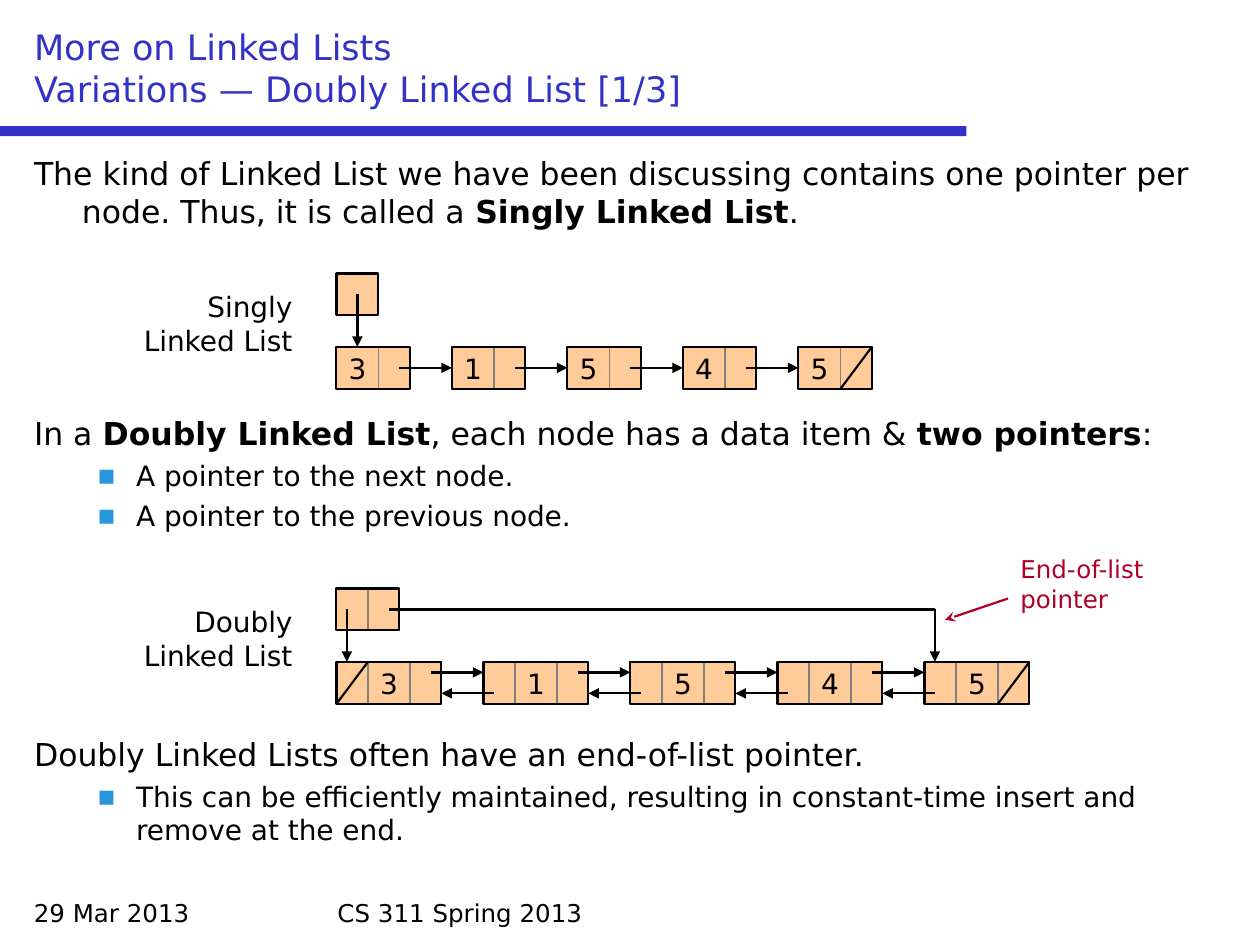
from dataclasses import dataclass
from itertools import accumulate

from lxml.etree import SubElement
from pptx import Presentation
from pptx.dml.color import RGBColor
from pptx.enum.shapes import MSO_CONNECTOR, MSO_SHAPE
from pptx.enum.text import MSO_ANCHOR, MSO_AUTO_SIZE, PP_ALIGN
from pptx.oxml.ns import qn
from pptx.util import Inches, Pt


@dataclass(frozen=True)
class Theme:
    face: str = "DejaVu Sans"
    ink: str = "000000"
    blue: str = "3232C8"
    mark: str = "2896DC"
    red: str = "AF0028"
    fill: str = "FFCC99"
    edge: str = "808080"
    title: int = 20
    body: int = 18
    item: int = 16
    note: int = 14
    thin: float = 0.75
    wide: float = 1.25


theme = Theme()
UNIT = 1 / 12


def style(para, size, color=theme.ink):
    para.font.name = theme.face
    para.font.size = Pt(size)
    para.font.color.rgb = RGBColor.from_string(color)


def place(shape, box):
    shape.left, shape.top, shape.width, shape.height = map(Inches, box)


def label(slide, box, text, size, color=theme.ink, align=PP_ALIGN.LEFT):
    frame = slide.shapes.add_textbox(*map(Inches, box)).text_frame
    frame.word_wrap = True
    para = frame.paragraphs[0]
    para.text = text
    para.alignment = align
    style(para, size, color)


def rect(slide, box, fill=None, color=None, width=theme.wide):
    shape = slide.shapes.add_shape(MSO_SHAPE.RECTANGLE, *map(Inches, box))
    shape.shadow.inherit = False
    if fill:
        shape.fill.solid()
        shape.fill.fore_color.rgb = RGBColor.from_string(fill)
    else:
        shape.fill.background()
    if color:
        shape.line.color.rgb = RGBColor.from_string(color)
        shape.line.width = Pt(width)
    else:
        shape.line.fill.background()
    return shape


def link(slide, start, end, head=None, color=theme.ink):
    line = slide.shapes.add_connector(
        MSO_CONNECTOR.STRAIGHT, *map(Inches, (*start, *end)))
    line.line.color.rgb = RGBColor.from_string(color)
    line.line.width = Pt(theme.wide)
    if head:
        SubElement(line.line._get_or_add_ln(), qn("a:tailEnd"), type=head)
    SubElement(line._element.spPr, qn("a:effectLst"))


def node(slide, x, y, cells, text="", slot=0):
    high = 4 * UNIT
    split = len(cells) > 1
    for i, (wide, end) in enumerate(zip(cells, accumulate(cells))):
        box = (x + (end - wide) * UNIT, y, wide * UNIT, high)
        cell = rect(slide, box, theme.fill, theme.edge if split else theme.ink,
                    theme.thin if split else theme.wide)
        if text and i == slot:
            frame = cell.text_frame
            frame.word_wrap = False
            frame.vertical_anchor = MSO_ANCHOR.MIDDLE
            para = frame.paragraphs[0]
            para.text = text
            para.alignment = PP_ALIGN.CENTER
            style(para, theme.item)
    if split:
        rect(slide, (x, y, sum(cells) * UNIT, high), None, theme.ink)


def chain(slide, x, y, name, head, cells, slot, lines, cuts):
    label(slide, (x - 1.67, y + 0.08, 1.42, 0.64), name, theme.item,
          align=PP_ALIGN.RIGHT)
    step = sum(cells) + 4
    data = "31545"
    node(slide, x, y, head)
    for i, text in enumerate(data):
        node(slide, x + i * step * UNIT, y + 7 * UNIT, cells, text, slot)

    def draw(a, b, c, d, tip=None):
        link(slide, (x + a * UNIT, y + b * UNIT),
             (x + c * UNIT, y + d * UNIT), tip)

    mid = head[0] / 2 if len(head) == 1 else 1
    draw(mid, 2, mid, 7, "triangle")
    for i in range(len(data) - 1):
        for start, end, row in lines:
            draw(start + i * step, row, end + i * step, row, "triangle")
    for i in cuts:
        draw(i, 11, i + 3, 7)
    if len(head) > 1:
        last = (len(data) - 1) * step + 1
        draw(5, 2, last, 2)
        draw(last, 2, last, 7, "triangle")


def heading(slide, box, text):
    title = slide.shapes.title
    place(title, box)
    frame = title.text_frame
    frame.auto_size = MSO_AUTO_SIZE.NONE
    frame.vertical_anchor = MSO_ANCHOR.BOTTOM
    frame.text = text
    para = frame.paragraphs[0]
    para.alignment = PP_ALIGN.LEFT
    style(para, theme.title, theme.blue)


def bullet(para, level):
    props = para._p.get_or_add_pPr()
    left, hang = ((0.38, 0.38), (0.81, 0.31))[level]
    props.set("marL", str(Inches(left)))
    props.set("indent", str(-Inches(hang)))
    if level:
        color = SubElement(props, qn("a:buClr"))
        SubElement(color, qn("a:srgbClr"), val=theme.mark)
        SubElement(props, qn("a:buFont"), typeface=theme.face)
        SubElement(props, qn("a:buChar"), char="▪")
    else:
        SubElement(props, qn("a:buNone"))


def content(slide, box, rows):
    body = slide.placeholders[1]
    place(body, box)
    frame = body.text_frame
    frame.auto_size = MSO_AUTO_SIZE.NONE
    for i, (level, gap, parts) in enumerate(rows):
        para = frame.add_paragraph() if i else frame.paragraphs[0]
        para.level = level
        para.space_before = Pt(gap)
        bullet(para, level)
        style(para, theme.item if level else theme.body)
        for j, text in enumerate(parts):
            run = para.add_run()
            run.text = text
            if j % 2:
                run.font.bold = True


def footer(slide, y):
    for x, wide, text in ((0.17, 2.33, "29 Mar 2013"),
                          (2.58, 4.83, "CS 311 Spring 2013")):
        label(slide, (x, y, wide, 0.33), text, theme.note)


def callout(slide, x, y):
    label(slide, (x, y, 1.5, 0.58), "End-of-list pointer", theme.note, theme.red)
    link(slide, (x, y + 0.4), (x - 0.5, y + 0.57), "stealth", theme.red)


ROWS = (
    (0, 0, ("The kind of Linked List we have been discussing contains one "
            "pointer per node. Thus, it is called a ",
            "Singly Linked List", ".")),
    (0, 105.3, ("In a ", "Doubly Linked List",
                ", each node has a data item & ", "two pointers", ":")),
    (1, 3.8, ("A pointer to the next node.",)),
    (1, 3.8, ("A pointer to the previous node.",)),
    (0, 116, ("Doubly Linked Lists often have an end-of-list pointer.",)),
    (1, 3.8, ("This can be efficiently maintained, resulting in "
              "constant-time insert and remove at the end.",)),
)

deck = Presentation()
deck.slide_width, deck.slide_height = Inches(10), Inches(7.5)
slide = deck.slides.add_slide(deck.slide_layouts[1])
rect(slide, (0, 1, 7.67, 0.08), theme.blue)
heading(slide, (0.17, 0.17, 9.67, 0.75),
        "More on Linked Lists\vVariations — Doubly Linked List [1/3]")
content(slide, (0.17, 1.17, 9.67, 5.83), ROWS)
chain(slide, 2.67, 2.17, "Singly Linked List", (4,), (4, 3), 0,
      ((6, 11, 9),), (48,))
chain(slide, 2.67, 4.67, "Doubly Linked List", (3, 3), (3, 4, 3), 1,
      ((9, 14, 8), (15, 10, 10)), (0, 63))
callout(slide, 8, 4.35)
footer(slide, 7.08)
deck.save("out.pptx")
